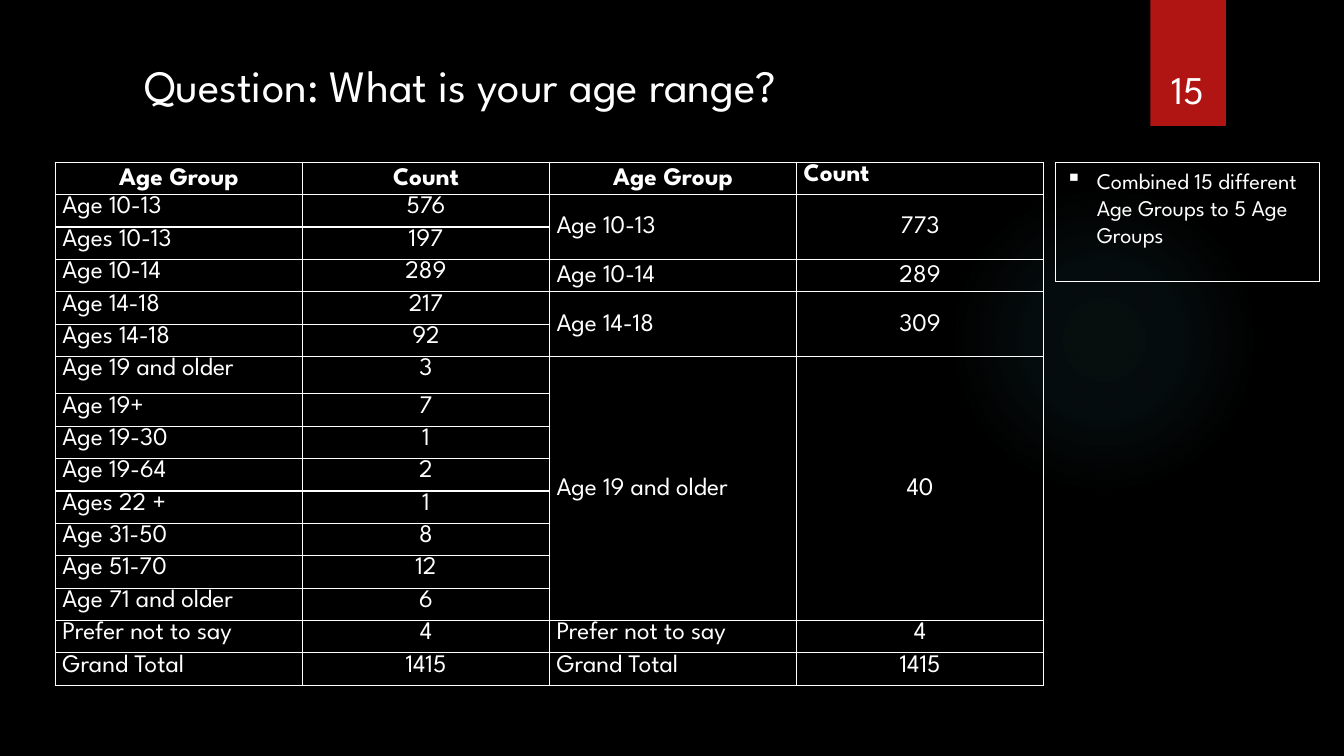
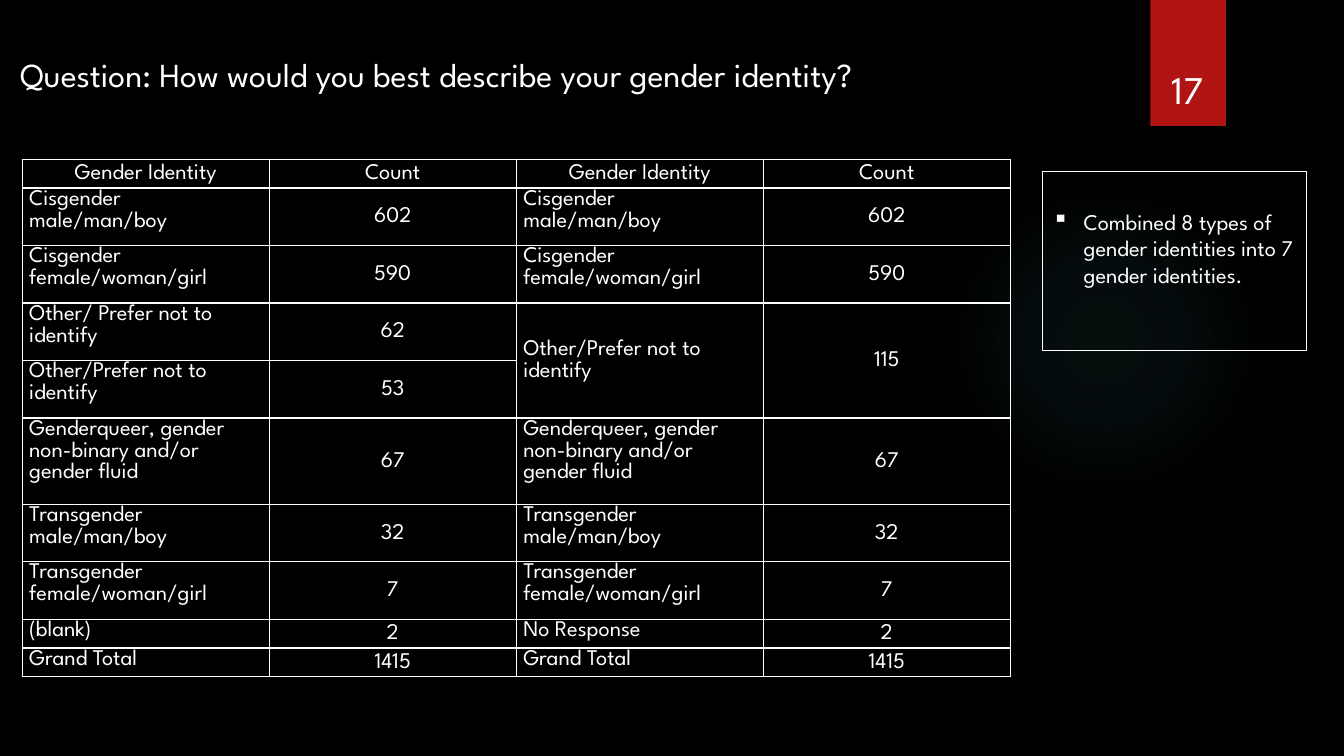
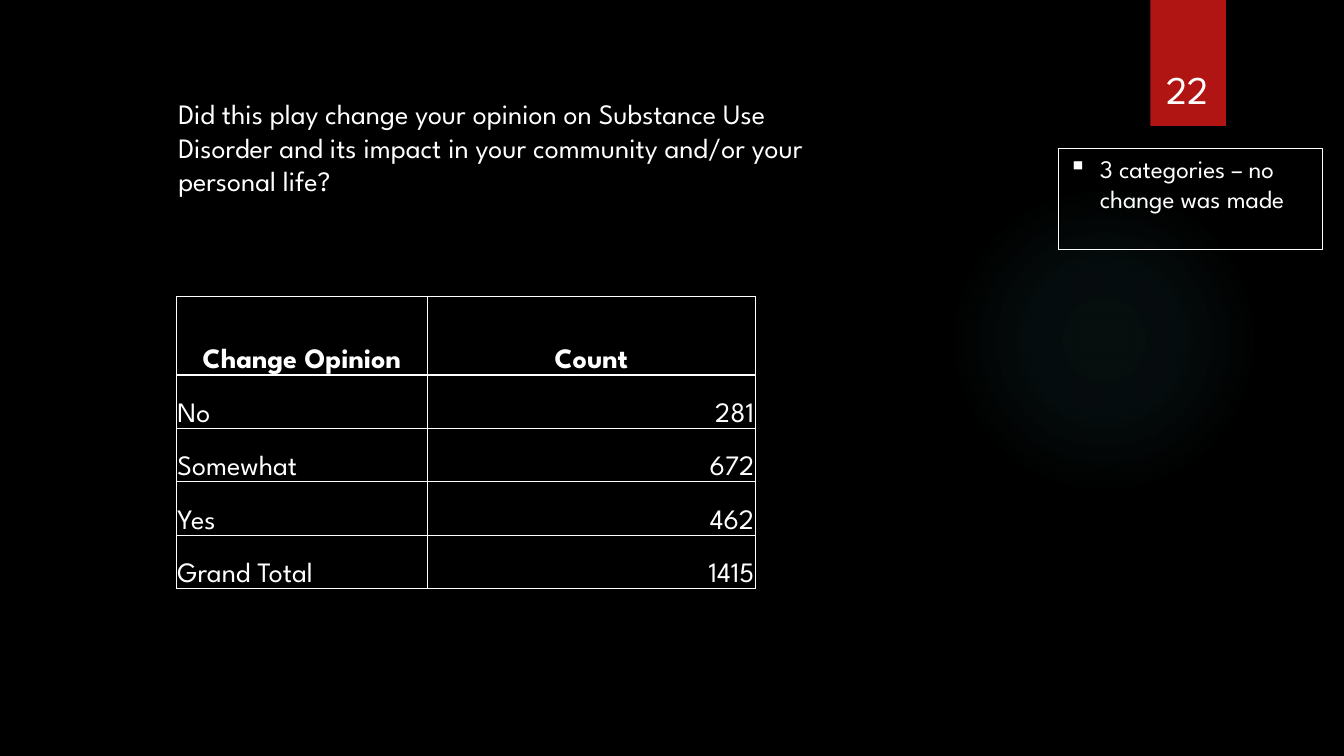
import lxml.etree
import pptx
import pptx.dml.color
import pptx.enum.shapes
import pptx.enum.text
import pptx.oxml
import pptx.oxml.ns
import pptx.util

FONT = "League Spartan"
WHITE, BLACK, RED, GLOW = "FFFFFF", "000000", "B01513", "50B9C1"
SLIDE_SIZE = (13.33, 7.5)
GLOW_BOX = (9.41, 1.83, 3.08, 3.08)
TAB_BOX = (11.41, 0, 0.75, 1.25)
DRAWING = pptx.oxml.ns.nsdecls("a")
ALIGNMENTS = {
    "l": pptx.enum.text.PP_ALIGN.LEFT,
    "c": pptx.enum.text.PP_ALIGN.CENTER,
    "r": pptx.enum.text.PP_ALIGN.RIGHT,
}
ANCHORS = {
    "t": pptx.enum.text.MSO_ANCHOR.TOP,
    "m": pptx.enum.text.MSO_ANCHOR.MIDDLE,
    "b": pptx.enum.text.MSO_ANCHOR.BOTTOM,
}

AGE_ROWS = [
    ("Age Group", "Count", "Age Group", "Count"),
    ("Age 10-13", "576", "Age 10-13", "773"),
    ("Ages 10-13", "197", None, None),
    ("Age 10-14", "289", "Age 10-14", "289"),
    ("Age 14-18", "217", "Age 14-18", "309"),
    ("Ages 14-18", "92", None, None),
    ("Age 19 and older", "3", "Age 19 and older", "40"),
    ("Age 19+", "7", None, None),
    ("Age 19-30", "1", None, None),
    ("Age 19-64", "2", None, None),
    ("Ages 22 +", "1", None, None),
    ("Age 31-50", "8", None, None),
    ("Age 51-70", "12", None, None),
    ("Age 71 and older", "6", None, None),
    ("Prefer not to say", "4", "Prefer not to say", "4"),
    ("Grand Total", "1415", "Grand Total", "1415"),
]
GENDER_ROWS = [
    ("Gender Identity", "Count") * 2,
    ("Cisgender male/man/boy", "602") * 2,
    ("Cisgender female/woman/girl", "590") * 2,
    ("Other/ Prefer not to identify", "62", "Other/Prefer not to identify", "115"),
    ("Other/Prefer not to identify", "53", None, None),
    ("Genderqueer, gender non-binary and/or gender fluid", "67") * 2,
    ("Transgender male/man/boy", "32") * 2,
    ("Transgender female/woman/girl", "7") * 2,
    ("(blank)", "2", "No Response", "2"),
    ("Grand Total", "1415") * 2,
]
OPINION_ROWS = [
    ("Change Opinion", "Count"),
    ("No", "281"),
    ("Somewhat", "672"),
    ("Yes", "462"),
    ("Grand Total", "1415"),
]


def color(value):
    """Turn a hex string into a colour."""
    return pptx.dml.color.RGBColor.from_string(value)


def inches(box):
    """Turn a box of inches into lengths."""
    return [pptx.util.Inches(length) for length in box]


def write(frame, text, size, align="l", anchor="t", bold=False):
    """Write one paragraph in a text frame and return it."""
    frame.word_wrap = True
    frame.vertical_anchor = ANCHORS[anchor]
    paragraph = frame.paragraphs[0]
    paragraph.text = text
    paragraph.alignment = ALIGNMENTS[align]
    style_font(paragraph.font, size, bold)
    return paragraph


def style_font(font, size, bold=False):
    """Apply the shared font."""
    font.name = FONT
    font.size = pptx.util.Pt(size)
    font.bold = bold
    font.color.rgb = color(WHITE)


def add_text(slide, box, text, size, align="l", anchor="t"):
    """Add a text box."""
    shape = slide.shapes.add_textbox(*inches(box))
    write(shape.text_frame, text, size, align, anchor)


def add_glow(slide, box):
    """Add the faint round glow."""
    shape = slide.shapes.add_shape(pptx.enum.shapes.MSO_SHAPE.OVAL, *inches(box))
    shape.shadow.inherit = False
    shape.line.fill.background()
    stops = "".join(
        f'<a:gs pos="{position}000"><a:srgbClr val="{GLOW}">'
        f'<a:alpha val="{alpha}000"/></a:srgbClr></a:gs>'
        for position, alpha in [(0, 7), (36, 6), (69, 0)]
    )
    gradient = pptx.oxml.parse_xml(
        f'<a:gradFill {DRAWING} rotWithShape="1"><a:gsLst>{stops}</a:gsLst>'
        '<a:path path="circle"><a:fillToRect l="50000" t="50000" r="50000" b="50000"/>'
        "</a:path></a:gradFill>"
    )
    shape.element.spPr.find(pptx.oxml.ns.qn("a:prstGeom")).addnext(gradient)


def add_number_tab(slide, box, number):
    """Add the red tab with the slide number over its lower part."""
    left, top, width, height = box
    shape = slide.shapes.add_shape(pptx.enum.shapes.MSO_SHAPE.RECTANGLE, *inches(box))
    shape.shadow.inherit = False
    shape.fill.solid()
    shape.fill.fore_color.rgb = color(RED)
    shape.line.fill.background()
    effects = shape.element.spPr.find(pptx.oxml.ns.qn("a:effectLst"))
    effects.append(pptx.oxml.parse_xml(
        f'<a:outerShdw {DRAWING} blurRad="38100" dist="25400" dir="5400000" rotWithShape="0">'
        f'<a:srgbClr val="{BLACK}"><a:alpha val="45000"/></a:srgbClr></a:outerShdw>'
    ))
    number_box = (left - 0.09, top + 0.32, width + 0.17, height - 0.41)
    add_text(slide, number_box, str(number), 28, "c", "b")


def add_note(slide, box, text, size, top_inset=0.05):
    """Add an outlined note with one bulleted paragraph."""
    shape = slide.shapes.add_shape(pptx.enum.shapes.MSO_SHAPE.RECTANGLE, *inches(box))
    shape.shadow.inherit = False
    shape.fill.background()
    shape.line.color.rgb = color(WHITE)
    shape.line.width = pptx.util.Pt(0.75)
    shape.text_frame.margin_top = pptx.util.Inches(top_inset)
    paragraph = shape.text_frame.paragraphs[0]
    properties = paragraph._p.get_or_add_pPr()
    indent = pptx.util.Inches(0.31)
    properties.set("marL", str(indent))
    properties.set("indent", str(-indent))
    bullet = lxml.etree.SubElement(properties, pptx.oxml.ns.qn("a:buChar"))
    bullet.set("char", "▪")
    write(shape.text_frame, text, size)


def add_borders(cell):
    """Draw a thin white line on each side of a cell."""
    properties = cell._tc.get_or_add_tcPr()
    for index, side in enumerate("LRTB"):
        properties.insert(index, pptx.oxml.parse_xml(
            f'<a:ln{side} {DRAWING} w="12700"><a:solidFill><a:srgbClr val="{WHITE}"/>'
            f"</a:solidFill></a:ln{side}>"
        ))


def add_table(slide, corner, widths, heights, rows, size, aligns, anchors,
              header_anchor="m", bold_header=True, insets=(0.07, 0, 0.07, 0),
              spaced=True, exceptions=None):
    """Add a ruled table; None in a row joins the cell to the one above."""
    exceptions = exceptions or {}
    box = (*corner, sum(widths), sum(heights))
    table = slide.shapes.add_table(len(rows), len(widths), *inches(box)).table
    table.first_row = table.horz_banding = False
    for column, width in zip(table.columns, widths):
        column.width = pptx.util.Inches(width)
    for row, height in zip(table.rows, heights):
        row.height = pptx.util.Inches(height)
    for row, values in enumerate(rows):
        for column, value in enumerate(values):
            cell = table.cell(row, column)
            cell.fill.background()
            add_borders(cell)
            (cell.margin_left, cell.margin_top,
             cell.margin_right, cell.margin_bottom) = inches(insets)
            if value is None:
                continue
            last = row
            while last + 1 < len(rows) and rows[last + 1][column] is None:
                last += 1
            align, anchor = aligns[column], anchors[column]
            if row == 0:
                align, anchor = "c", header_anchor
            elif last > row:
                cell.merge(table.cell(last, column))
                anchor = "m"
            align, anchor = exceptions.get((row, column), (align, anchor))
            paragraph = write(cell.text_frame, value, size, align, "t",
                              bold_header and row == 0)
            cell.vertical_anchor = ANCHORS[anchor]
            if spaced:
                paragraph.line_spacing = 1.07
                paragraph.space_after = pptx.util.Pt(8)


def add_slide(presentation, number, title_box, title, title_size):
    """Add a slide with the shared decoration, number and title."""
    slide = presentation.slides.add_slide(presentation.slide_layouts[6])
    slide.background.fill.solid()
    slide.background.fill.fore_color.rgb = color(BLACK)
    add_glow(slide, GLOW_BOX)
    add_number_tab(slide, TAB_BOX, number)
    add_text(slide, title_box, title, title_size)
    return slide


def add_age_slide(presentation):
    """Add the slide on age ranges."""
    slide = add_slide(presentation, 15, (1.33, 0.52, 8.22, 0.64),
                      "Question: What is your age range?", 32)
    add_note(slide, (10.47, 1.61, 2.62, 1.18),
             "Combined 15 different Age Groups to 5 Age Groups", 16)
    heights = [0.37 if row == 6 else 0.32 for row in range(len(AGE_ROWS))]
    add_table(slide, (0.55, 1.61), [2.45] * 4, heights, AGE_ROWS, 18, "lclc", "tttt",
              exceptions={(0, 3): "lt", (3, 2): "lm", (3, 3): "cm"})


def add_gender_slide(presentation):
    """Add the slide on gender identity."""
    slide = add_slide(presentation, 17, (0.1, 0.49, 10.38, 0.5),
                      "Question: How would you best describe your gender identity?", 24)
    add_note(slide, (10.34, 1.7, 2.62, 1.78),
             "Combined 8 types of gender identities into 7 gender identities.", 16, 0.36)
    lines = [1, 2, 2, 2, 2, 3, 2, 2, 1, 1]
    heights = [round(0.285 * count, 2) for count in lines]
    add_table(slide, (0.22, 1.58), [2.45] * 4, heights, GENDER_ROWS, 16, "lclc", "tmtm",
              bold_header=False)


def add_opinion_slide(presentation):
    """Add the slide on changed opinions."""
    slide = add_slide(presentation, 22, (1.67, 0.91, 6.67, 1.11),
                      "Did this play change your opinion on Substance Use Disorder and its "
                      "impact in your community and/or your personal life?", 20)
    add_note(slide, (10.5, 1.47, 2.62, 1.01), "3 categories – no change was made", 18)
    add_table(slide, (1.75, 2.94), [2.49, 3.25], [0.78] + [0.53] * 4, OPINION_ROWS, 20,
              "lr", "bb", header_anchor="b", insets=(0.01, 0.01, 0.01, 0), spaced=False)


def main():
    """Build and save the presentation."""
    presentation = pptx.Presentation()
    presentation.slide_width, presentation.slide_height = inches(SLIDE_SIZE)
    add_age_slide(presentation)
    add_gender_slide(presentation)
    add_opinion_slide(presentation)
    presentation.save("out.pptx")


if __name__ == "__main__":
    main()
